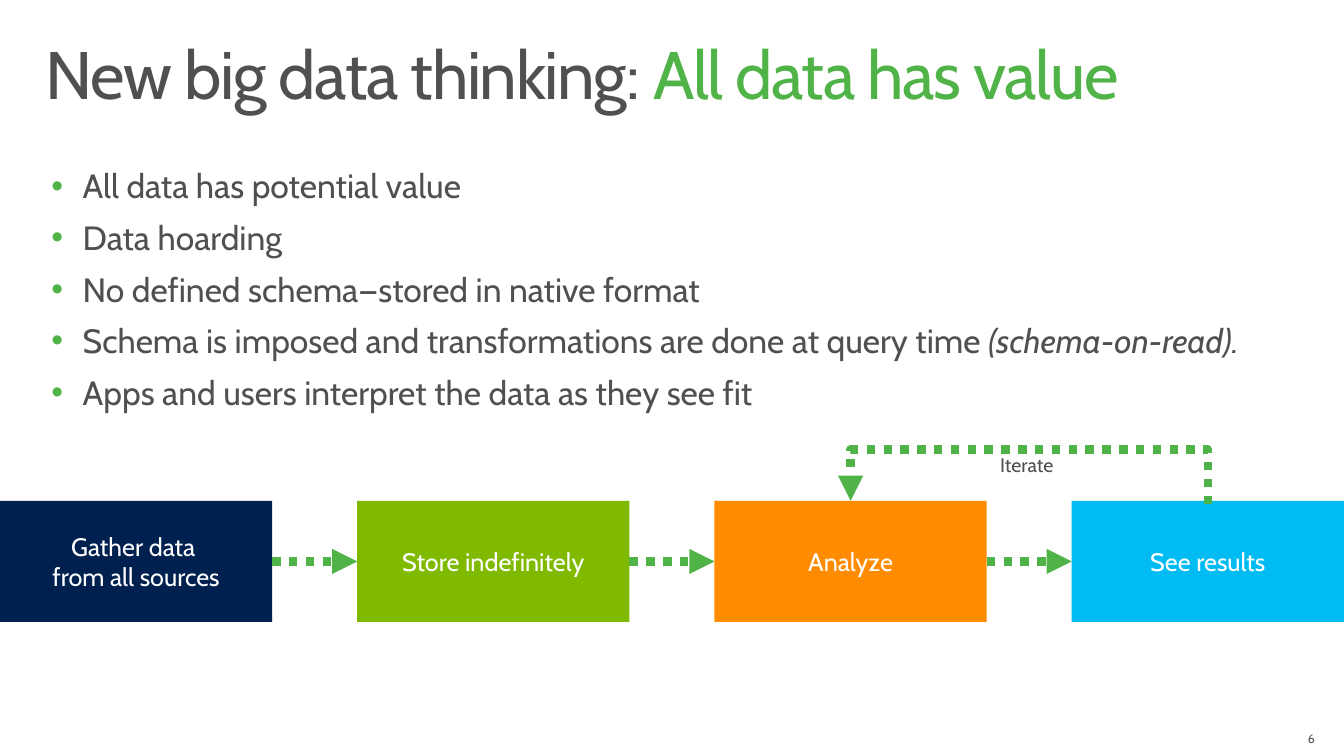
from pptx import Presentation
from pptx.dml.color import RGBColor
from pptx.enum.dml import MSO_LINE
from pptx.enum.shapes import MSO_CONNECTOR, MSO_SHAPE
from pptx.enum.text import MSO_ANCHOR, MSO_AUTO_SIZE, PP_ALIGN
from pptx.oxml.ns import qn
from pptx.util import Inches, Pt
from lxml import etree

TOP, MIDDLE = MSO_ANCHOR.TOP, MSO_ANCHOR.MIDDLE
LEFT, CENTER, RIGHT = PP_ALIGN.LEFT, PP_ALIGN.CENTER, PP_ALIGN.RIGHT
STRAIGHT, ELBOW = MSO_CONNECTOR.STRAIGHT, MSO_CONNECTOR.ELBOW
RECTANGLE = MSO_SHAPE.RECTANGLE
DOTTED = MSO_LINE.ROUND_DOT
NO_FIT = MSO_AUTO_SIZE.NONE

FONT = "Cabin"
COLORS = {
    "text": "505050", "green": "50B347", "white": "FFFFFF",
    "navy": "002050", "lime": "7FBA00", "orange": "FF8C00", "sky": "00BCF2",
}
SLIDE_WIDTH, SLIDE_HEIGHT = 13.33, 7.5

TITLE = [("New big data thinking: ", "text"), ("All data has value", "green")]
BULLETS = [
    [("All data has potential value", False)],
    [("Data hoarding", False)],
    [("No defined schema—stored in native format", False)],
    [("Schema is imposed and transformations are done at query time ", False),
     ("(schema-on-read).", True)],
    [("Apps and users interpret the data as they see fit", False)],
]
STEPS = [
    ("Gather data \vfrom all sources", "navy"),
    ("Store indefinitely", "lime"),
    ("Analyze", "orange"),
    ("See results", "sky"),
]


def color(name):
    return RGBColor.from_string(COLORS[name])


def set_values(target, values):
    for name, value in values.items():
        setattr(target, name, value)


def style_span(span, size, color_name, italic=False):
    set_values(span.font, {"name": FONT, "size": Pt(size), "italic": italic})
    span.font.color.rgb = color(color_name)


def set_frame(frame, insets, anchor=TOP, wrap=True):
    left, top, right, bottom = (Inches(inset) for inset in insets)
    set_values(frame, {
        "margin_left": left, "margin_top": top, "margin_right": right,
        "margin_bottom": bottom, "vertical_anchor": anchor,
        "word_wrap": wrap, "auto_size": NO_FIT,
    })


def place(shape, box):
    for name, length in zip(("left", "top", "width", "height"), box):
        setattr(shape, name, Inches(length))


def write_label(frame, text, size, color_name, align):
    para = frame.paragraphs[0]
    para.text = text
    para.alignment = align
    for span in para.runs:
        style_span(span, size, color_name)


def add_text(page, box, text, size, align=LEFT, insets=(0, 0, 0, 0),
             anchor=TOP, wrap=True):
    label = page.shapes.add_textbox(*(Inches(length) for length in box))
    set_frame(label.text_frame, insets, anchor, wrap)
    write_label(label.text_frame, text, size, "text", align)


def add_arrow(page, kind, start, end):
    arrow = page.shapes.add_connector(
        kind, *(Inches(length) for length in (*start, *end)))
    arrow.line.color.rgb = color("green")
    arrow.line.width = Pt(6)
    arrow.line.dash_style = DOTTED
    etree.SubElement(arrow.line._get_or_add_ln(), qn("a:tailEnd"), type="triangle")
    etree.SubElement(arrow._element.spPr, qn("a:effectLst"))
    return arrow


def add_title(page, box):
    title = page.shapes.title
    place(title, box)
    set_frame(title.text_frame, (0.16, 0.1, 0.16, 0.1))
    para = title.text_frame.paragraphs[0]
    set_values(para, {"alignment": LEFT, "line_spacing": 0.9})
    for text, color_name in TITLE:
        span = para.add_run()
        span.text = text
        style_span(span, 48, color_name)
        span.font._element.set("spc", "-100")


def add_bullet(para):
    props = para._p.get_or_add_pPr()
    props.set("marL", str(Inches(0.37)))
    props.set("indent", str(Inches(-0.31)))
    bullet_color = etree.SubElement(props, qn("a:buClr"))
    etree.SubElement(bullet_color, qn("a:srgbClr"), val=COLORS["green"])
    etree.SubElement(props, qn("a:buFont"), typeface="Arial")
    etree.SubElement(props, qn("a:buChar"), char="•")


def add_bullets(page, box):
    body = page.placeholders[1]
    place(body, box)
    frame = body.text_frame
    set_frame(frame, (0, 0, 0, 0))
    for index, spans in enumerate(BULLETS):
        para = frame.add_paragraph() if index else frame.paragraphs[0]
        add_bullet(para)
        set_values(para, {
            "alignment": LEFT, "line_spacing": 1.0,
            "space_before": Pt(2 if index else 0), "space_after": Pt(6),
        })
        for text, italic in spans:
            span = para.add_run()
            span.text = text
            style_span(span, 24, "text", italic)


def add_step(page, box, text, fill):
    step = page.shapes.add_shape(RECTANGLE, *(Inches(length) for length in box))
    step.shadow.inherit = False
    step.fill.solid()
    step.fill.fore_color.rgb = color(fill)
    step.line.fill.background()
    set_frame(step.text_frame, (0.1, 0.1, 0.1, 0.1), MIDDLE)
    write_label(step.text_frame, text, 18, "white", CENTER)


def add_iterate_loop(page, start_x, end_x, top):
    # The elbow is laid out upright, then turned a quarter to bend over the steps
    rise, depth = 0.54, 0.03
    middle, half = (start_x + end_x) / 2, (start_x - end_x) / 2
    center_y = top + depth / 2
    loop = add_arrow(page, ELBOW, (middle - depth / 2, center_y + half),
                     (middle + depth / 2, center_y - half))
    loop._element.spPr.find(qn("a:xfrm")).set("rot", str(270 * 60000))
    guides = loop._element.spPr.find(qn("a:prstGeom")).get_or_add_avLst()
    bend = round(rise / depth * 100000)
    etree.SubElement(guides, qn("a:gd"), name="adj1", fmla=f"val {bend}")
    add_text(page, (middle - 0.29, top - 0.48, 0.58, 0.5), "Iterate", 14, wrap=False)


def add_process(page, box):
    left, top, width, height = box
    step_width = 2.7
    pitch = (width - step_width) / (len(STEPS) - 1)
    lefts = [left + index * pitch for index in range(len(STEPS))]
    for step_left, (text, fill) in zip(lefts, STEPS):
        add_step(page, (step_left, top, step_width, height), text, fill)
    add_iterate_loop(page, lefts[3] + step_width / 2, lefts[2] + step_width / 2, top)
    middle = top + height / 2
    for step_left, next_left in zip(lefts, lefts[1:]):
        add_arrow(page, STRAIGHT, (step_left + step_width, middle), (next_left, middle))


def main():
    deck = Presentation()
    deck.slide_width, deck.slide_height = Inches(SLIDE_WIDTH), Inches(SLIDE_HEIGHT)
    page = deck.slides.add_slide(deck.slide_layouts[1])
    add_process(page, (0, 4.97, SLIDE_WIDTH, 1.2))
    add_title(page, (0.29, 0.31, 12.74, 1.01))
    add_bullets(page, (0.45, 1.64, 12.66, 2.47))
    # Page number
    add_text(page, (12.43, 7.25, 0.61, 0.15), "6", 8.8, RIGHT, (0.1, 0, 0, 0), MIDDLE)
    deck.save("out.pptx")


if __name__ == "__main__":
    main()
